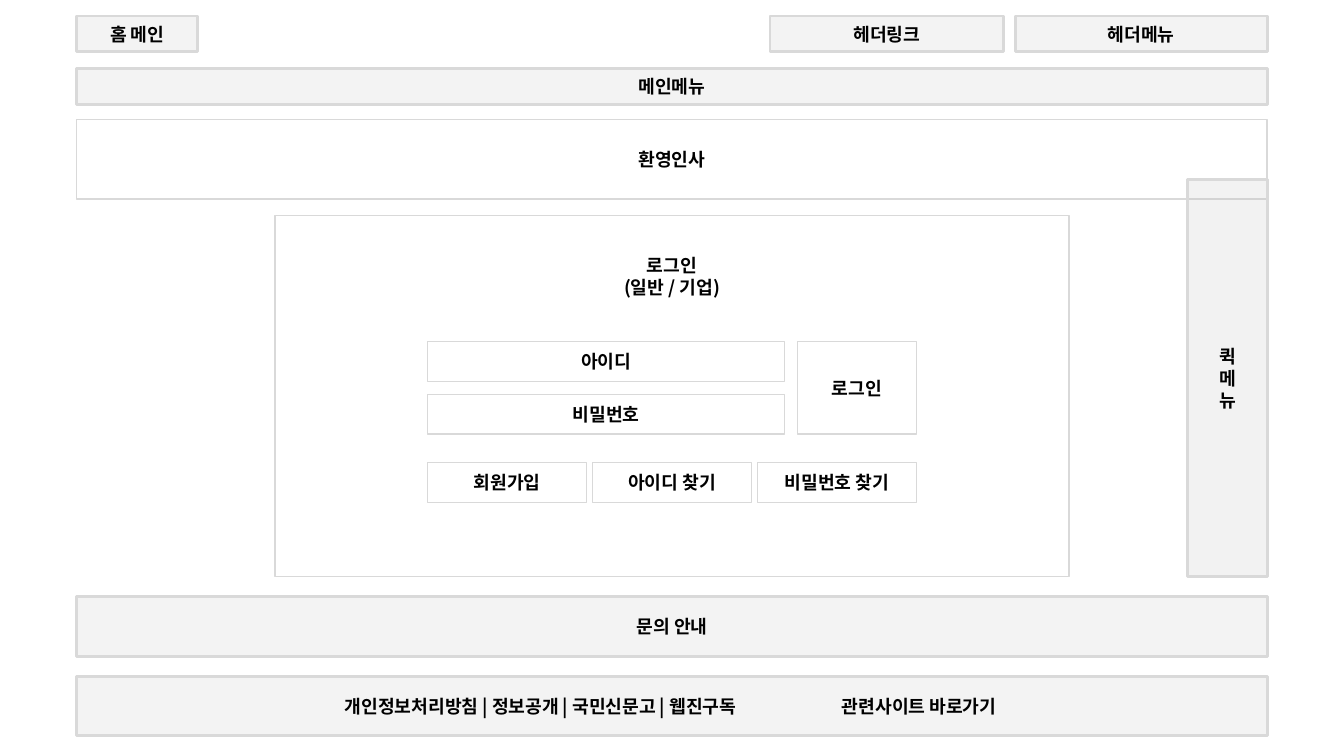
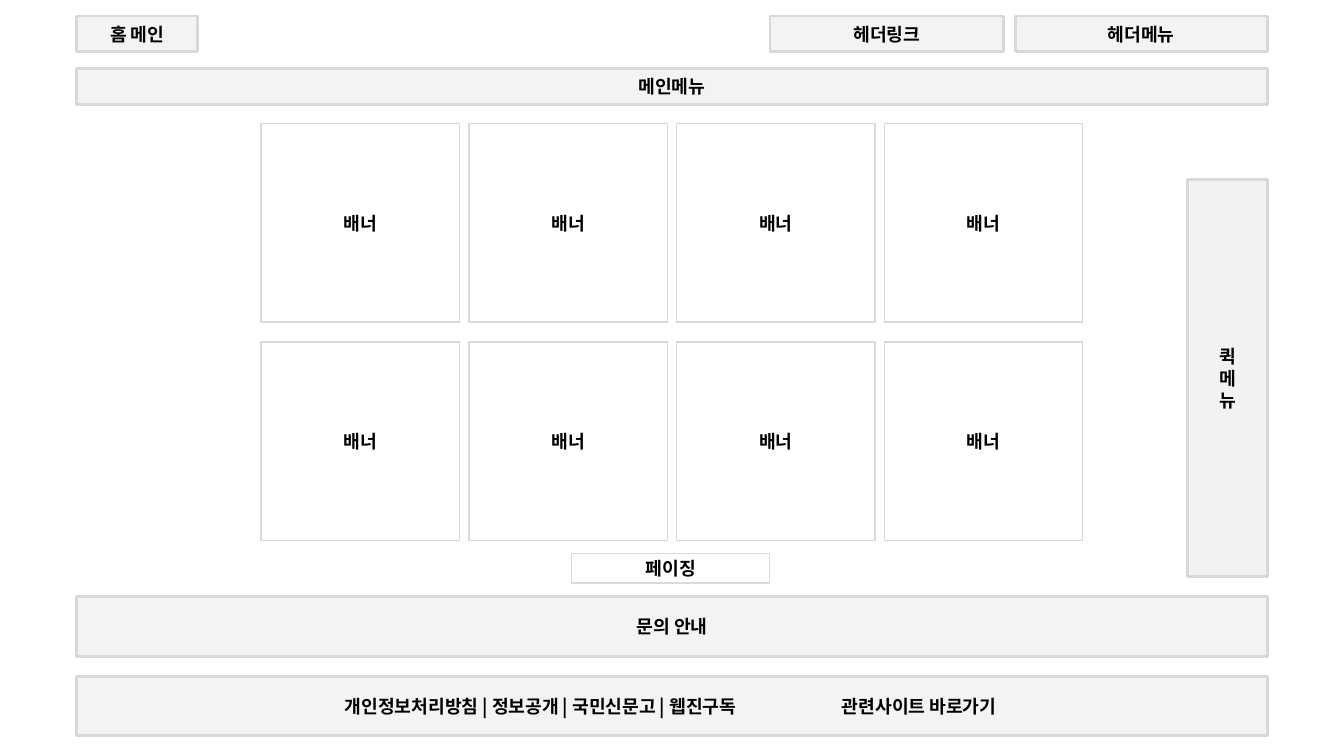
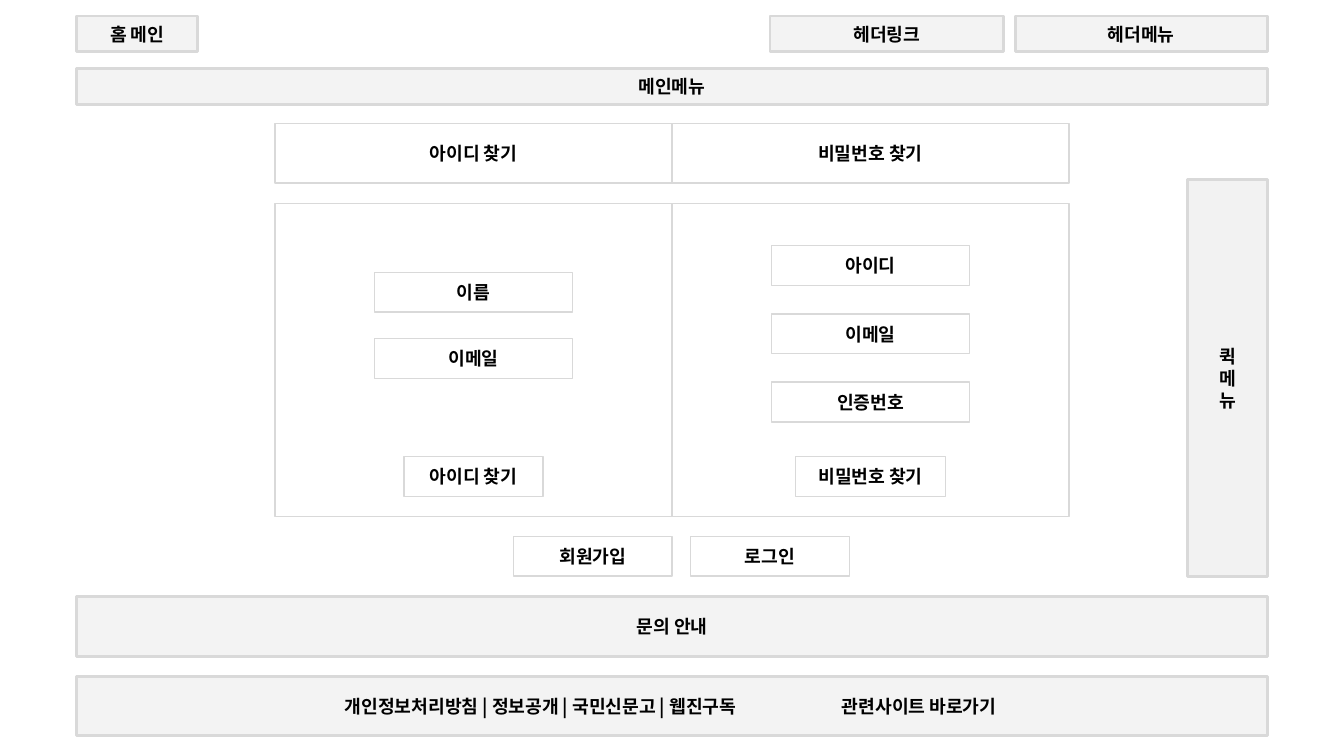
"""Build three wireframe pages that share one site frame."""
from dataclasses import dataclass

from lxml import etree
from pptx import Presentation
from pptx.dml.color import RGBColor
from pptx.enum import shapes, text
from pptx.oxml import ns
from pptx.util import Pt


@dataclass(frozen=True)
class Theme:
    font: str = "Noto Sans CJK KR"
    size: float = 13
    leading: float = 15.7
    ink: str = "000000"
    paper: str = "FFFFFF"
    line: str = "D9D9D9"
    band: tuple = ("D9D9D9", 30)
    quick: tuple = ("BFBFBF", 20)


THEME = Theme()
PAGE_W, PAGE_H = 960, 540
FRAME_W = 850.4
LEFT = (PAGE_W - FRAME_W) / 2
RIGHT = LEFT + FRAME_W
PANEL_W = 567
PANEL_X = (PAGE_W - PANEL_W) / 2
FIELD_H, LINK_W, TILE = 28.4, 113.4, 141.7
BAR_H, BAND_H = 25.5, 42.5
TOP = 88.3

HEADER = [("홈 메인", LEFT, 86.4), ("헤더링크", 550, 167), ("헤더메뉴", RIGHT - 180, 180)]
BANDS = [("메인메뉴", 49, BAR_H), ("문의 안내", 426.3, BAND_H)]
FOOTER = "개인정보처리방침 | 정보공개 | 국민신문고 | 웹진구독\t관련사이트 바로가기"
QUICK_MENU = "퀵\n메\n뉴"

LOGIN_TITLE = "로그인\v(일반 / 기업)"
LOGIN_FIELDS = ["아이디", "비밀번호"]
LOGIN_LINKS = ["회원가입", "아이디 찾기", "비밀번호 찾기"]

BANNER_ROWS, BANNER_COLUMNS = 2, 4

FINDERS = [
    dict(title="아이디 찾기", fields=["이름", "이메일"], top=194.5, pitch=47.4, button_w=99.2),
    dict(title="비밀번호 찾기", fields=["아이디", "이메일", "인증번호"], top=175.4, pitch=48.8,
         button_w=107.4),
]
FINDER_LINKS = ["회원가입", "로그인"]


def write(box, words, align=text.PP_ALIGN.CENTER, anchor=text.MSO_ANCHOR.MIDDLE,
          inset_left=7.2, inset_top=3.6, tab=None):
    """Fill a box with formatted text."""
    frame = box.text_frame
    frame.word_wrap = True
    frame.vertical_anchor = anchor
    frame.margin_left, frame.margin_top = Pt(inset_left), Pt(inset_top)
    frame.text = words
    for para in frame.paragraphs:
        para.alignment = align
        if len(frame.paragraphs) > 1 or "\v" in words:
            para.line_spacing = Pt(THEME.leading)
        if tab:
            stops = etree.SubElement(para._p.get_or_add_pPr(), ns.qn("a:tabLst"))
            etree.SubElement(stops, ns.qn("a:tab"), pos=str(Pt(tab)), algn="l")
        for span in para.runs:
            span.font.name = THEME.font
            span.font.size = Pt(THEME.size)
            span.font.bold = True
            span.font.color.rgb = RGBColor.from_string(THEME.ink)
            east = etree.SubElement(span.font._element, ns.qn("a:ea"))
            east.set("typeface", THEME.font)


def add_box(page, words, x, y, width, height, tint=None, **layout):
    """Add an outlined rectangle, white or with a see-through tint."""
    box = page.shapes.add_shape(shapes.MSO_SHAPE.RECTANGLE, Pt(x), Pt(y), Pt(width), Pt(height))
    box.shadow.inherit = False
    colour, opacity = tint or (THEME.paper, 100)
    box.fill.solid()
    box.fill.fore_color.rgb = RGBColor.from_string(colour)
    if tint:
        paint = box.fill._xPr.find(ns.qn("a:solidFill"))[0]
        etree.SubElement(paint, ns.qn("a:alpha"), val=str(opacity * 1000))
    box.line.color.rgb = RGBColor.from_string(THEME.line)
    box.line.width = Pt(2 if tint else 1)
    if words:
        write(box, words, **layout)
    return box


def add_row(page, labels, x, y, width, height, gap):
    """Add equal boxes side by side."""
    for column, label in enumerate(labels):
        add_box(page, label, x + column * (width + gap), y, width, height)


def add_frame(page):
    """Add the header, menus and footer of every page."""
    for label, x, width in HEADER:
        add_box(page, label, x, 11.4, width, BAR_H, THEME.band)
    for label, y, height in BANDS:
        add_box(page, label, LEFT, y, FRAME_W, height, THEME.band)
    add_box(page, FOOTER, LEFT, 483, FRAME_W, BAND_H, THEME.band,
            align=text.PP_ALIGN.LEFT, inset_left=191.6, tab=355)
    add_box(page, QUICK_MENU, RIGHT - 56.7, 128.3, 56.7, 283.5, THEME.quick)


def add_login(page):
    """Add the greeting and the login form."""
    form_w, button_w, top, pitch = 349, 85, 244, 37.7
    form_x = (PAGE_W - form_w) / 2
    add_box(page, "환영인사", LEFT, 85.5, FRAME_W, 56.7)
    add_box(page, LOGIN_TITLE, PANEL_X, 154, PANEL_W, 257.8,
            anchor=text.MSO_ANCHOR.TOP, inset_top=27.4)
    for row, label in enumerate(LOGIN_FIELDS):
        add_box(page, label, form_x, top + row * pitch, 255, FIELD_H)
    add_box(page, "로그인", form_x + form_w - button_w, top, button_w, pitch + FIELD_H)
    gap = (form_w - len(LOGIN_LINKS) * LINK_W) / (len(LOGIN_LINKS) - 1)
    add_row(page, LOGIN_LINKS, form_x, 330.5, LINK_W, FIELD_H, gap)


def add_banners(page):
    """Add the banner grid and its pager."""
    gap = 6.7
    grid_x = (PAGE_W - BANNER_COLUMNS * TILE - (BANNER_COLUMNS - 1) * gap) / 2
    for row in range(BANNER_ROWS):
        add_row(page, ["배너"] * BANNER_COLUMNS, grid_x, TOP + row * 155.9, TILE, TILE, gap)
    add_box(page, "페이징", 408.2, 395.4, TILE, 21.2)


def add_finders(page):
    """Add the account and password finders."""
    half = PANEL_W / 2
    for column, finder in enumerate(FINDERS):
        x = PANEL_X + column * half
        middle = x + half / 2
        add_box(page, finder["title"], x, TOP, half, BAND_H)
        add_box(page, "", x, 145.3, half, 223.8)
        for row, label in enumerate(finder["fields"]):
            y = finder["top"] + row * finder["pitch"]
            add_box(page, label, middle - TILE / 2, y, TILE, FIELD_H)
        width = finder["button_w"]
        add_box(page, finder["title"], middle - width / 2, 326.3, width, FIELD_H)
    add_row(page, FINDER_LINKS, 366.7, 383.2, LINK_W, FIELD_H, 13.2)


def main():
    """Build and save the deck."""
    deck = Presentation()
    deck.slide_width, deck.slide_height = Pt(PAGE_W), Pt(PAGE_H)
    for add_content in (add_login, add_banners, add_finders):
        page = deck.slides.add_slide(deck.slide_layouts[6])
        add_content(page)
        add_frame(page)
    deck.save("out.pptx")


if __name__ == "__main__":
    main()
